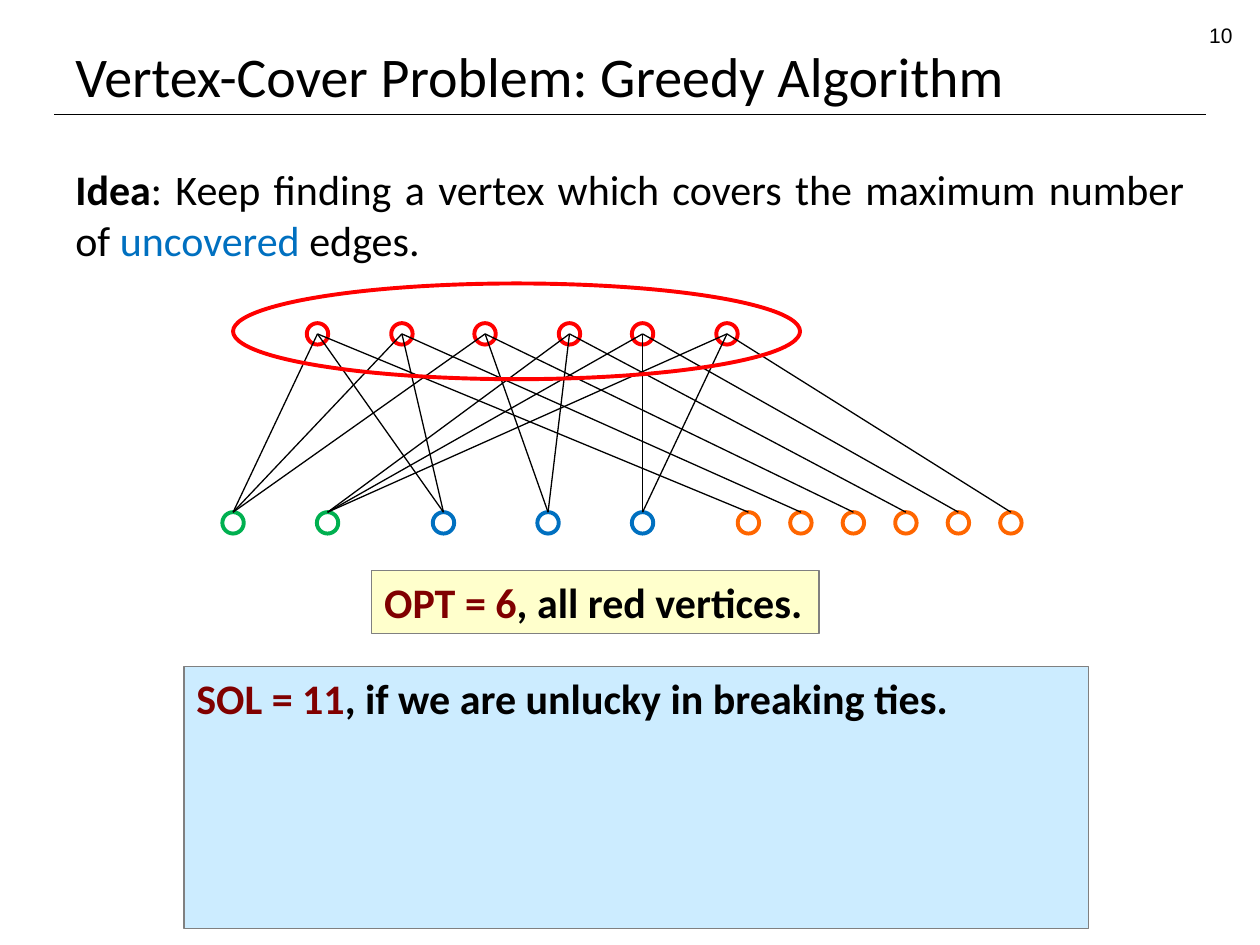
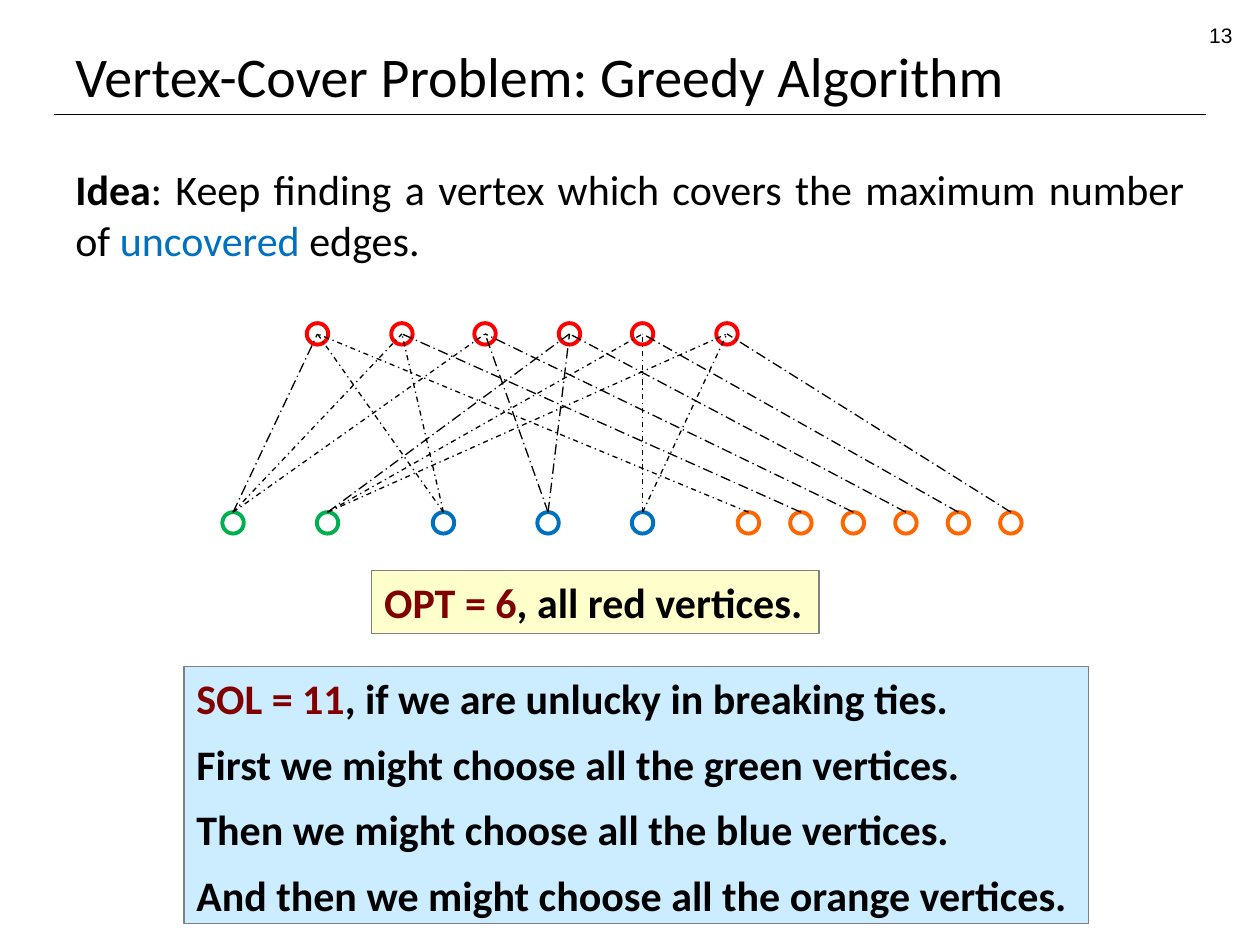
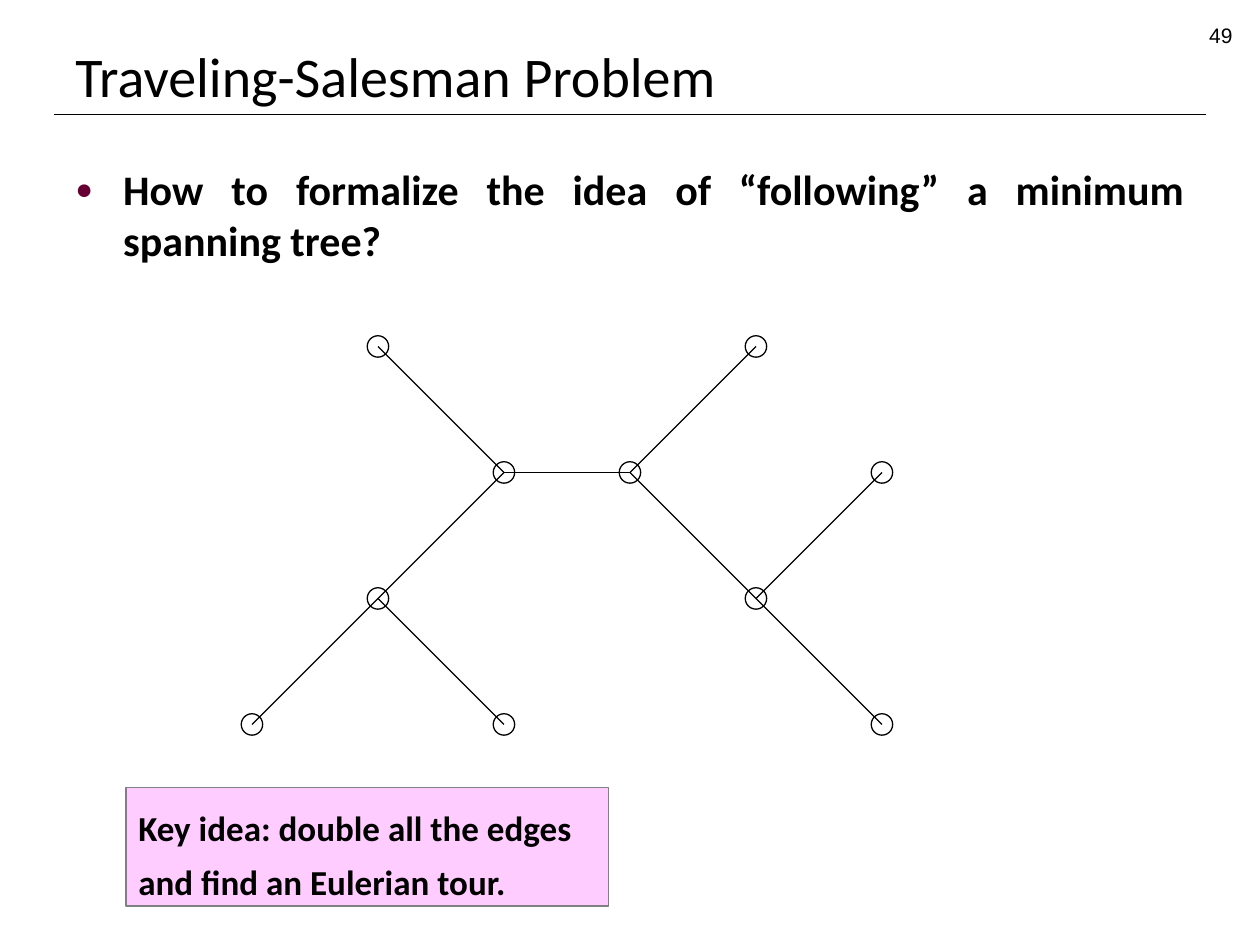
from lxml.etree import SubElement
from pptx import Presentation
from pptx.dml.color import RGBColor
from pptx.enum.dml import MSO_LINE
from pptx.enum.shapes import MSO_CONNECTOR, MSO_SHAPE
from pptx.enum.text import MSO_ANCHOR, PP_ALIGN
from pptx.oxml.ns import qn
from pptx.util import Inches, Pt

BLACK, WHITE, GRAY = "000000", "FFFFFF", "808080"
RED, GREEN, BLUE, ORANGE, MAROON = "FF0000", "00B050", "0070C0", "FF6600", "800000"
YELLOW_BOX, BLUE_BOX, PINK_BOX = "FFFFCC", "CCECFF", "FFCCFF"
BULLET = "660033"
DIAMETER = 0.17


def rgb(value):
    return RGBColor.from_string(value)


class Deck:
    """Holds the shared style and the slide being built."""

    base_font = {"name": "Calibri", "size": Pt(24), "bold": False}

    def __init__(self):
        self.presentation = Presentation()
        self.presentation.slide_width = Inches(10)
        self.presentation.slide_height = Inches(7.5)
        self.slide = None

    def start(self, title, number):
        """Add a slide with its title, rule and page number."""
        self.slide = self.presentation.slides.add_slide(self.presentation.slide_layouts[6])
        self.line((0.43, 0.91), (9.57, 0.91))
        heading = self.text((0.5, 0.13, 9, 0.78), [[(title, {"size": Pt(32)})]])
        heading.vertical_anchor = MSO_ANCHOR.BOTTOM
        self.text((7.55, 0.13, 2.33, 0.28),
                  [[(str(number), {"name": "Arial", "size": Pt(12)})]], align=PP_ALIGN.RIGHT)

    def fill_frame(self, frame, paragraphs, align=PP_ALIGN.LEFT, spacings=()):
        """Fill a frame; each paragraph is a list of (words, format) runs."""
        frame.word_wrap = True
        frame.vertical_anchor = MSO_ANCHOR.TOP
        for i, runs in enumerate(paragraphs):
            paragraph = frame.paragraphs[0] if i == 0 else frame.add_paragraph()
            paragraph.alignment = align
            if i < len(spacings):
                paragraph.line_spacing = spacings[i]
            for words, changes in runs:
                run = paragraph.add_run()
                run.text = words
                style = {**self.base_font, "color": BLACK, **changes}
                run.font.color.rgb = rgb(style.pop("color"))
                for key, value in style.items():
                    setattr(run.font, key, value)
        return frame

    def text(self, at, paragraphs, **options):
        box = self.slide.shapes.add_textbox(*map(Inches, at))
        return self.fill_frame(box.text_frame, paragraphs, **options)

    def body(self, runs, bullet=False):
        frame = self.text((0.5, 0.91, 9, 6.38), [runs], align=PP_ALIGN.JUSTIFY)
        frame.margin_top = Inches(0.39)
        if bullet:
            properties = frame.paragraphs[0]._p.get_or_add_pPr()
            properties.set("marL", str(Inches(0.38)))
            properties.set("indent", str(-Inches(0.38)))
            color = SubElement(properties, qn("a:buClr"))
            SubElement(color, qn("a:srgbClr"), val=BULLET)
            SubElement(properties, qn("a:buSzPct"), val="70000")
            SubElement(properties, qn("a:buFont"), typeface="Arial")
            SubElement(properties, qn("a:buChar"), char="●")

    def shape(self, kind, at, line, width=0.75, fill=None):
        shape = self.slide.shapes.add_shape(kind, *map(Inches, at))
        shape.shadow.inherit = False
        if fill:
            shape.fill.solid()
            shape.fill.fore_color.rgb = rgb(fill)
        else:
            shape.fill.background()
        shape.line.color.rgb = rgb(line)
        shape.line.width = Pt(width)
        return shape

    def box(self, at, fill, paragraphs, spacings=()):
        box = self.shape(MSO_SHAPE.RECTANGLE, at, GRAY, fill=fill)
        self.fill_frame(box.text_frame, paragraphs, spacings=spacings).margin_right = Inches(0.05)

    def vertex(self, center, line, width=2.25, fill=None):
        x, y = center
        at = (x - DIAMETER / 2, y - DIAMETER / 2, DIAMETER, DIAMETER)
        return self.shape(MSO_SHAPE.OVAL, at, line, width, fill)

    def line(self, start, end, dash=None):
        line = self.slide.shapes.add_connector(
            MSO_CONNECTOR.STRAIGHT, *map(Inches, (*start, *end)))
        line.line.color.rgb = rgb(BLACK)
        line.line.width = Pt(0.75)
        if dash:
            line.line.dash_style = dash
        SubElement(line._element.spPr, qn("a:effectLst"))
        return line


# Bipartite graph: the lower vertices, each with the upper ones it touches
UPPER_XS, UPPER_Y, LOWER_Y = (2.52, 3.19, 3.85, 4.52, 5.1, 5.77), 2.65, 4.15
LOWER = [
    (1.85, GREEN, (0, 1, 2)), (2.6, GREEN, (3, 4, 5)),
    (3.52, BLUE, (0, 1)), (4.35, BLUE, (2, 3)), (5.1, BLUE, (4, 5)),
    *((5.94 + 5 / 12 * i, ORANGE, (i,)) for i in range(6)),
]
LONG_DASHED = {(0, 0), (1, 3), (3, 2), (3, 3), *((5 + i, i) for i in range(1, 6))}


def vertex_cover(deck, number, sol_height, covered=False, choices=()):
    deck.start("Vertex-Cover Problem: Greedy Algorithm", number)
    deck.body([("Idea", {"bold": True}),
               (": Keep finding a vertex which covers the maximum number of ", {}),
               ("uncovered", {"color": BLUE}), (" edges.", {})])

    # Vertices and edges
    for x in UPPER_XS:
        deck.vertex((x, UPPER_Y), RED)
    for low, (x, color, neighbours) in enumerate(LOWER):
        vertex = deck.vertex((x, LOWER_Y), color)
        for high in neighbours:
            dash = None
            if covered:
                is_long = (low, high) in LONG_DASHED
                dash = MSO_LINE.LONG_DASH_DOT if is_long else MSO_LINE.DASH_DOT
            edge = deck.line((x, LOWER_Y), (UPPER_XS[high], UPPER_Y), dash)
            edge.begin_connect(vertex, 0)

    # Optimum and greedy solution
    bold, result = {"bold": True}, {"bold": True, "color": MAROON}
    deck.box((2.95, 4.53, 3.55, 0.5), YELLOW_BOX,
             [[("OPT = 6", result), (", all red vertices.", bold)]])
    solution = [("SOL = 11", result), (", if we are unlucky in breaking ties.", bold)]
    deck.box((1.46, 5.29, 7.18, sol_height), BLUE_BOX,
             [solution, *([(choice, bold)] for choice in choices)],
             spacings=(1.0, *(1.3 for _ in choices)))


def salesman(deck):
    deck.start("Traveling-Salesman Problem", 49)
    deck.body([("How to formalize the idea of “following” a minimum spanning tree?",
                {"bold": True})], bullet=True)

    # Spanning tree on a one-inch grid
    cities = [(3, 2.75), (4, 3.75), (5, 3.75), (6, 2.75), (3, 4.75),
              (2, 5.75), (4, 5.75), (6, 4.75), (7, 3.75), (7, 5.75)]
    roads = [(0, 1), (1, 2), (2, 3), (2, 7), (7, 8), (7, 9), (1, 4), (4, 5), (4, 6)]
    for city in cities:
        deck.vertex(city, BLACK, 0.75, WHITE)
    for start, end in roads:
        deck.line(cities[start], cities[end])

    deck.box((1, 6.25, 3.83, 0.94), PINK_BOX,
             [[("Key idea: double all the edges and find an Eulerian tour.",
                {"size": Pt(20), "bold": True})]], spacings=(1.3,))


def main():
    deck = Deck()
    vertex_cover(deck, 10, 2.08)
    deck.shape(MSO_SHAPE.OVAL, (1.85, 2.25, 4.5, 0.76), RED, 2.25)  # optimal cover
    vertex_cover(deck, 13, 2.04, covered=True, choices=[
        "First we might choose all the green vertices.",
        "Then we might choose all the blue vertices.",
        "And then we might choose all the orange vertices.",
    ])
    salesman(deck)
    deck.presentation.save("out.pptx")


if __name__ == "__main__":
    main()
